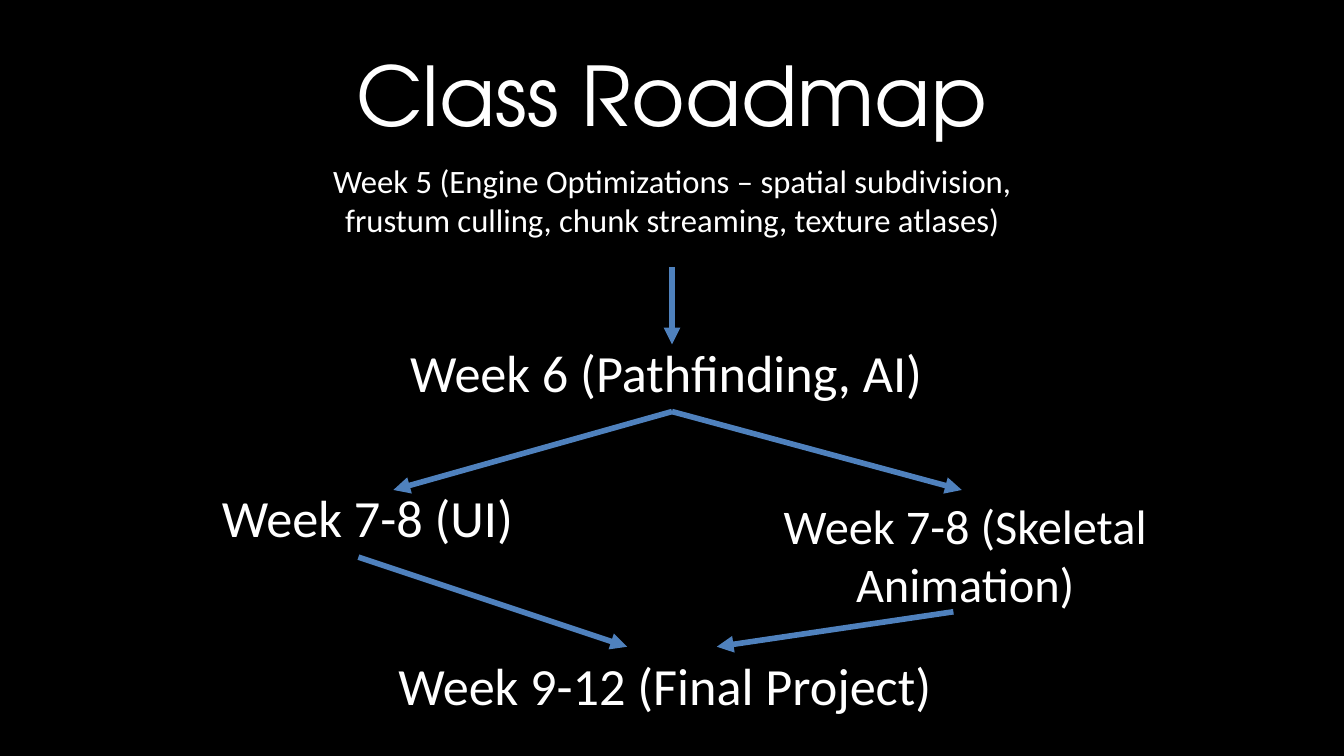
from lxml import etree
from pptx import Presentation
from pptx.dml.color import RGBColor
from pptx.enum.shapes import MSO_CONNECTOR
from pptx.enum.text import MSO_ANCHOR, PP_ALIGN
from pptx.oxml.ns import qn
from pptx.util import Pt

PX = 9525  # EMU per px, 96 px to the inch
STRAIGHT = MSO_CONNECTOR.STRAIGHT
CENTER = PP_ALIGN.CENTER
TOP, MIDDLE = MSO_ANCHOR.TOP, MSO_ANCHOR.MIDDLE
TITLE_ONLY = 5

COLORS = {"background": "000000", "text": "FFFFFF", "arrow": "4F81BD"}
TITLE_FONT, BODY_FONT = "TeX Gyre Adventor", "Calibri"

# Text, box (left, top, width, height) and size of each step
STEPS = [
    ("Week 5 (Engine Optimizations – spatial subdivision, "
     "frustum culling, chunk streaming, texture atlases)", (228, 110, 505, 81), 17.5),
    ("Week 6 (Pathfinding, AI) ", (212, 238, 536, 56), 28),
    ("Week 7-8 (UI)", (64, 342, 397, 80), 28),
    ("Week 7-8 (Skeletal Animation)", (491, 350, 397, 80), 25.9),
    ("Week 9-12 (Final Project) ", (211, 462, 536, 56), 28),
]
ARROWS = [
    ((480, 191), (480, 246)),
    ((480, 294), (281, 350)),
    ((480, 294), (687, 350)),
    ((256, 398), (448, 462)),
    ((681, 437), (512, 462)),
]


def emu(*lengths):
    return [length * PX for length in lengths]


def color(name):
    return RGBColor.from_string(COLORS[name])


def write_text(shape, text, size, font=BODY_FONT, anchor=TOP):
    frame = shape.text_frame
    frame.word_wrap = True
    frame.vertical_anchor = anchor
    para = frame.paragraphs[0]
    para.alignment = CENTER
    span = para.add_run()
    span.text = text
    span.font.name = font
    span.font.size = Pt(size)
    span.font.color.rgb = color("text")


def add_arrow(page, start, end, origin):
    left, top = origin
    arrow = page.shapes.add_connector(
        STRAIGHT, *emu(left + start[0], top + start[1], left + end[0], top + end[1]))
    arrow.line.color.rgb = color("arrow")
    arrow.line.width = Pt(3)
    properties = arrow._element.spPr
    etree.SubElement(properties.find(qn("a:ln")), qn("a:tailEnd"), type="triangle")
    etree.SubElement(properties, qn("a:effectLst"))


def place_title(page, box):
    title = page.shapes.title
    title.left, title.top, title.width, title.height = emu(*box)
    write_text(title, "Class Roadmap", 44, font=TITLE_FONT, anchor=MIDDLE)


def place_roadmap(page, origin):
    for text, (left, top, width, height), size in STEPS:
        box = page.shapes.add_textbox(
            *emu(origin[0] + left, origin[1] + top, width, height))
        write_text(box, text, size)
    for start, end in ARROWS:
        add_arrow(page, start, end, origin)


def main():
    deck = Presentation()
    deck.slide_width, deck.slide_height = emu(960, 540)
    page = deck.slides.add_slide(deck.slide_layouts[TITLE_ONLY])
    fill = page.background.fill
    fill.solid()
    fill.fore_color.rgb = color("background")
    place_title(page, (48, 22, 864, 90))
    place_roadmap(page, (0, 0))
    deck.save("out.pptx")


if __name__ == "__main__":
    main()
